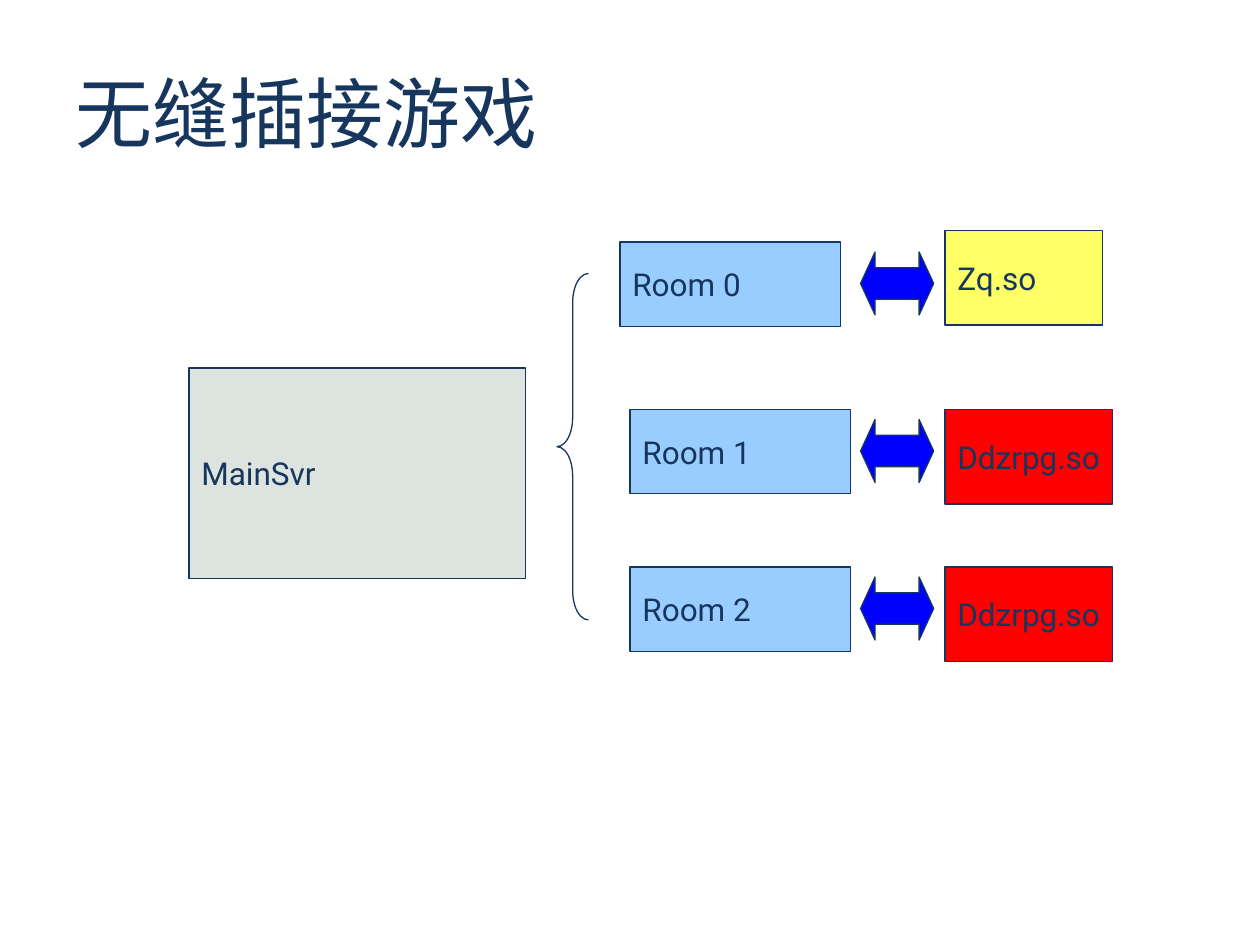
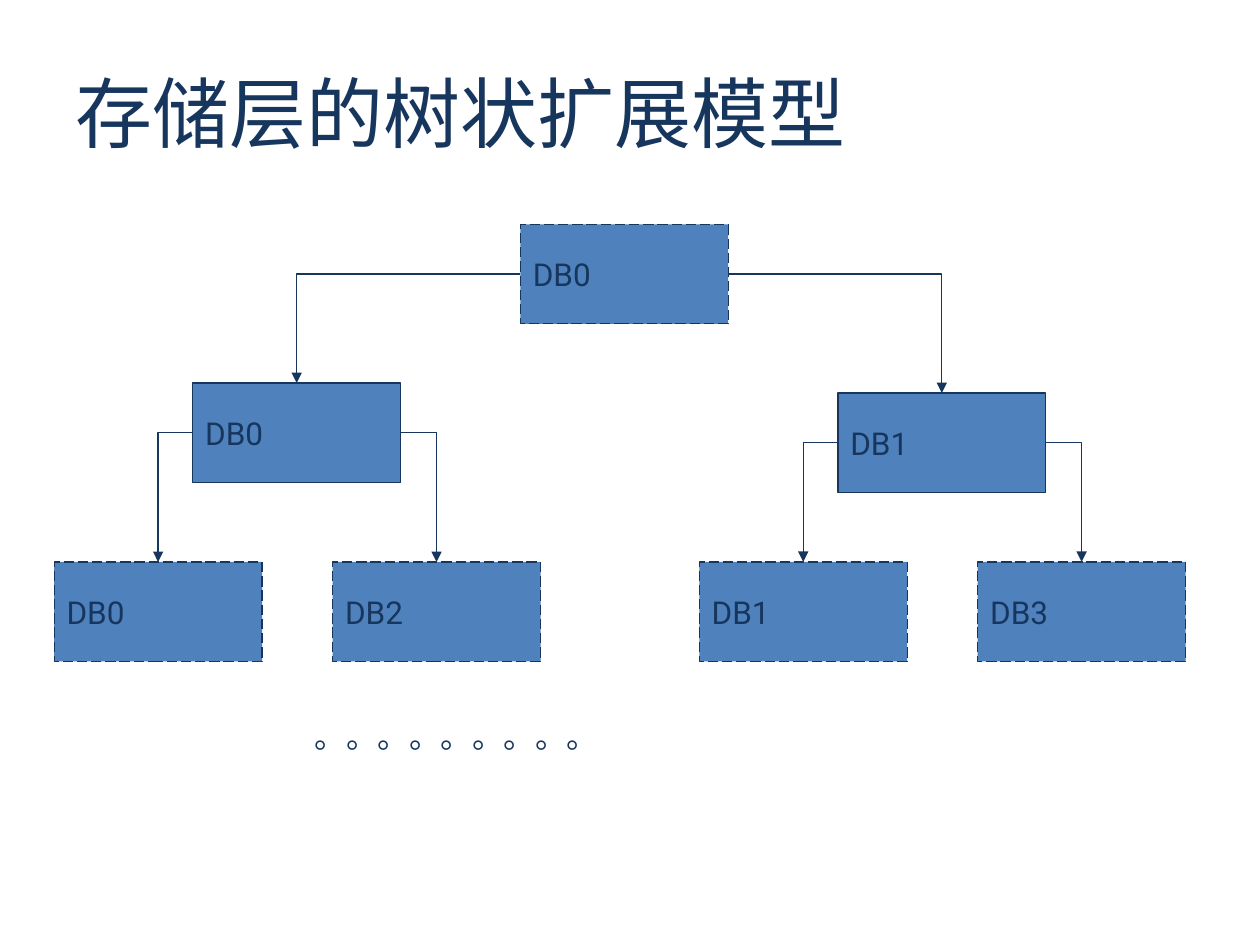
from lxml import etree
from pptx import Presentation
from pptx.dml.color import RGBColor
from pptx.enum.dml import MSO_LINE
from pptx.enum.shapes import MSO_CONNECTOR, MSO_SHAPE
from pptx.enum.text import MSO_ANCHOR, PP_ALIGN
from pptx.oxml.ns import qn
from pptx.util import Inches, Pt

RECT = MSO_SHAPE.RECTANGLE
BRACE = MSO_SHAPE.LEFT_BRACE
ARROW = MSO_SHAPE.LEFT_RIGHT_ARROW
ELBOW = MSO_CONNECTOR.ELBOW
DASH = MSO_LINE.LONG_DASH
MIDDLE = MSO_ANCHOR.MIDDLE
TOP = MSO_ANCHOR.TOP
LEFT = PP_ALIGN.LEFT

FONT = "Roboto"
COLORS = {
    "ink": "17365D", "paper": "FFFFFF", "server": "DDE3DF", "room": "99CCFF",
    "yellow": "FFFF66", "red": "FF0000", "arrow": "0000FF", "db": "4F81BD",
}
TOP_SIDE, LEFT_SIDE, RIGHT_SIDE = 0, 1, 3
DB_SIZE = (1.65, 0.79)


def color(name):
    return RGBColor.from_string(COLORS[name])


def write(frame, text, size, anchor, wrap):
    frame.word_wrap = wrap
    frame.vertical_anchor = anchor
    para = frame.paragraphs[0]
    para.alignment = LEFT
    run = para.add_run()
    run.text = text
    font = run.font
    font.size = Pt(size)
    font.name = FONT
    font.color.rgb = color("ink")
    # Same typeface for East Asian text
    etree.SubElement(run._r.rPr, qn("a:ea")).set("typeface", FONT)


def add_text(slide, text, left, top, width, height, size):
    box = slide.shapes.add_textbox(*map(Inches, (left, top, width, height)))
    write(box.text_frame, text, size, TOP, True)


def stroke(line):
    line.color.rgb = color("ink")
    line.width = Pt(0.75)


def add_form(slide, kind, left, top, width, height, fill=None, adjust=()):
    form = slide.shapes.add_shape(
        kind, *map(Inches, (left, top, width, height)))
    form.shadow.inherit = False
    if fill:
        form.fill.solid()
        form.fill.fore_color.rgb = color(fill)
    else:
        form.fill.background()
    stroke(form.line)
    for index, value in enumerate(adjust):
        form.adjustments[index] = value
    return form


def add_box(slide, text, left, top, width, height, fill):
    box = add_form(slide, RECT, left, top, width, height, fill)
    write(box.text_frame, text, 18, MIDDLE, False)
    return box


def add_db(slide, text, left, top, dashed=True):
    box = add_box(slide, text, left, top, *DB_SIZE, "db")
    if dashed:
        box.line.dash_style = DASH
    return box


def add_link(slide, parent, child, side):
    """Single-bend arrow from a side of the parent to the top of the child."""
    link = slide.shapes.add_connector(ELBOW, 0, 0, 0, 0)
    link.begin_connect(parent, side)
    link.end_connect(child, TOP_SIDE)
    stroke(link.line)
    props = link._element.spPr
    props.find(qn("a:prstGeom")).set("prst", "bentConnector2")
    etree.SubElement(props.find(qn("a:ln")), qn("a:tailEnd")).set(
        "type", "triangle")
    etree.SubElement(props, qn("a:effectLst"))


def add_pair(slide, parent, first, second):
    add_link(slide, parent, first, LEFT_SIDE)
    add_link(slide, parent, second, RIGHT_SIDE)


def add_page(deck, title):
    slide = deck.slides.add_slide(deck.slide_layouts[6])
    slide.background.fill.solid()
    slide.background.fill.fore_color.rgb = color("paper")
    add_text(slide, title, 0.5, 0.47, 9, 0.7, 44)
    return slide


def build_games(deck):
    slide = add_page(deck, "无缝插接游戏")
    add_box(slide, "MainSvr", 1.5, 2.92, 2.67, 1.67, "server")
    add_form(slide, BRACE, 4.42, 2.17, 0.25, 2.75, adjust=(0.92, 0.5))

    # Room left and top, then plug-in name, top, width and fill
    rows = [
        (4.92, 1.92, "Zq.so", 1.83, 1.25, "yellow"),
        (5, 3.25, "Ddzrpg.so", 3.25, 1.33, "red"),
        (5, 4.5, "Ddzrpg.so", 4.5, 1.33, "red"),
    ]
    for index, (left, top, name, plug_top, width, fill) in enumerate(rows):
        add_box(slide, f"Room {index}", left, top, 1.75, 0.67, fill="room")
        add_box(slide, name, 7.5, plug_top, width, 0.75, fill)
        add_form(slide, ARROW, 6.83, top + 0.08, 0.58, 0.5, "arrow",
                 (0.5, 0.23))


def build_tree(deck):
    slide = add_page(deck, "存储层的树状扩展模型")
    root = add_db(slide, "DB0", 4.13, 1.78)

    # Two branches, each with two leaves
    branches = [
        ("DB0", 1.53, 3.04, ("DB0", "DB2")),
        ("DB1", 6.65, 3.12, ("DB1", "DB3")),
    ]
    nodes = []
    for name, left, top, names in branches:
        node = add_db(slide, name, left, top, dashed=False)
        leaves = [add_db(slide, leaf, left + shift, 4.46)
                  for leaf, shift in zip(names, (-1.1, 1.11))]
        add_pair(slide, node, *leaves)
        nodes.append(node)
    add_pair(slide, root, *nodes)

    add_text(slide, "。" * 9, 2.4, 5.64, 5.04, 0.4, 18)


def main():
    deck = Presentation()
    deck.slide_width = Inches(10)
    deck.slide_height = Inches(7.5)
    build_games(deck)
    build_tree(deck)
    deck.save("out.pptx")


if __name__ == "__main__":
    main()
